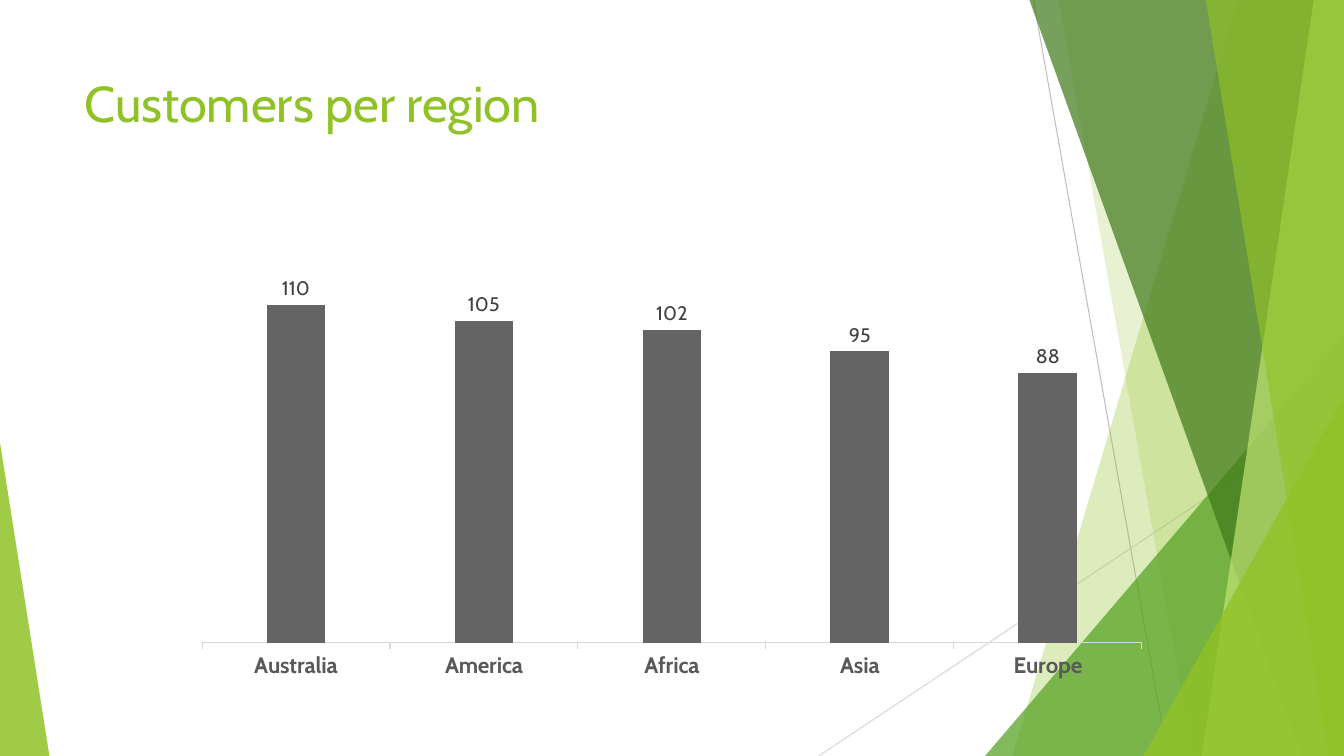
from dataclasses import dataclass

from lxml.etree import SubElement
from pptx import Presentation
from pptx.chart.data import CategoryChartData
from pptx.dml.color import RGBColor
from pptx.enum.chart import XL_CHART_TYPE as ChartType
from pptx.enum.chart import XL_LABEL_POSITION as LabelPosition
from pptx.enum.chart import XL_TICK_MARK as TickMark
from pptx.enum.shapes import MSO_CONNECTOR, MSO_SHAPE
from pptx.enum.text import MSO_ANCHOR, MSO_AUTO_SIZE, PP_ALIGN
from pptx.oxml.ns import qn
from pptx.util import Inches, Pt


@dataclass(frozen=True)
class Theme:
    font: str = "Cabin"
    lime: RGBColor = RGBColor(0x90, 0xC2, 0x26)
    green: RGBColor = RGBColor(0x54, 0xA0, 0x21)
    forest: RGBColor = RGBColor(0x3F, 0x78, 0x19)
    pale: RGBColor = RGBColor(0xC0, 0xE4, 0x74)
    bar: RGBColor = RGBColor(0x64, 0x64, 0x64)
    category: RGBColor = RGBColor(0x59, 0x59, 0x59)
    value: RGBColor = RGBColor(0x40, 0x40, 0x40)
    line: RGBColor = RGBColor(0xD9, 0xD9, 0xD9)
    dark_line: RGBColor = RGBColor(0xBF, 0xBF, 0xBF)
    title_size: Pt = Pt(36)
    category_size: Pt = Pt(16)
    value_size: Pt = Pt(14)
    line_width: Pt = Pt(0.75)


theme = Theme()
WIDTH, HEIGHT = 13.33, 7.5

presentation = Presentation()
presentation.slide_width = Inches(WIDTH)
presentation.slide_height = Inches(HEIGHT)
slide = presentation.slides.add_slide(presentation.slide_layouts[5])
shapes = slide.shapes


def add_band(top_x, bottom_x):
    """Fill the slide from a slanted left edge to its right side."""
    builder = shapes.build_freeform(Inches(top_x), 0)
    corners = [(WIDTH, 0), (WIDTH, HEIGHT), (bottom_x, HEIGHT)]
    builder.add_line_segments([(Inches(x), Inches(y)) for x, y in corners])
    return builder.convert_to_shape()


def add_corner(left, top, width, apex):
    """Stand a triangle on the bottom edge; apex runs from 0 (left) to 1 (right)."""
    triangle = shapes.add_shape(
        MSO_SHAPE.ISOSCELES_TRIANGLE,
        Inches(left), Inches(top), Inches(width), Inches(HEIGHT - top),
    )
    triangle.adjustments[0] = apex
    return triangle


# Thin lines behind the facets
for start_x, start_y, end_x, color in [
    (10.25, 0, 11.58, theme.dark_line),
    (WIDTH, 4.03, 8.12, theme.line),
]:
    connector = shapes.add_connector(
        MSO_CONNECTOR.STRAIGHT,
        Inches(start_x), Inches(start_y), Inches(end_x), Inches(HEIGHT),
    )
    connector.line.color.rgb = color
    connector.line.width = theme.line_width
    SubElement(connector._element.spPr, qn("a:effectLst"))

# Translucent facets, from back to front, with their opacity in percent
facets = [
    (add_band(12.28, 10.04), theme.lime, 30),
    (add_band(10.5, 11.83), theme.lime, 20),
    (add_corner(9.77, 3.33, 3.56, 1), theme.green, 72),
    (add_band(10.21, 12.91), theme.forest, 70),
    (add_band(13.03, 11.92), theme.pale, 70),
    (add_band(11.96, 13.18), theme.lime, 65),
    (add_corner(11.34, 3.93, 1.99, 1), theme.lime, 80),
    (add_corner(0, 4.39, 0.49, 0), theme.lime, 85),
]
for facet, color, opacity in facets:
    facet.shadow.inherit = False
    facet.line.fill.background()
    facet.fill.solid()
    facet.fill.fore_color.rgb = color
    color_element = facet._element.spPr.find(f".//{qn('a:srgbClr')}")
    SubElement(color_element, qn("a:alpha"), val=str(opacity * 1000))

# Title
title = shapes.title
title.left, title.top = Inches(0.74), Inches(0.67)
title.width, title.height = Inches(9.4), Inches(1.44)
title.text_frame.text = "Customers per region"
title.text_frame.vertical_anchor = MSO_ANCHOR.TOP
title.text_frame.auto_size = MSO_AUTO_SIZE.NONE
paragraph = title.text_frame.paragraphs[0]
paragraph.alignment = PP_ALIGN.LEFT
paragraph.font.name = theme.font
paragraph.font.size = theme.title_size
paragraph.font.color.rgb = theme.lime

# Column chart
chart_data = CategoryChartData()
chart_data.categories = ["Australia", "America", "Africa", "Asia", "Europe"]
chart_data.add_series("Series 1", [110, 105, 102, 95, 88])
chart = shapes.add_chart(
    ChartType.COLUMN_CLUSTERED,
    Inches(1.81), Inches(2.64), Inches(9.71), Inches(4.18), chart_data,
).chart
chart.has_title = False
chart.has_legend = False
chart.font.name = theme.font
chart.font.size = theme.value_size

value_axis = chart.value_axis
value_axis.visible = False
value_axis.has_major_gridlines = False
value_axis.minimum_scale, value_axis.maximum_scale = 0, 120

category_axis = chart.category_axis
category_axis.major_tick_mark = TickMark.OUTSIDE
category_axis.format.line.color.rgb = theme.line
category_axis.format.line.width = theme.line_width
category_font = category_axis.tick_labels.font
category_font.name = theme.font
category_font.size = theme.category_size
category_font.bold = True
category_font.color.rgb = theme.category

plot = chart.plots[0]
plot.vary_by_categories = False
plot.gap_width, plot.overlap = 219, -27
series = plot.series[0]
series.format.fill.solid()
series.format.fill.fore_color.rgb = theme.bar
labels = series.data_labels
labels.show_value = True
labels.position = LabelPosition.OUTSIDE_END
labels.font.name = theme.font
labels.font.size = theme.value_size
labels.font.color.rgb = theme.value

presentation.save("out.pptx")
